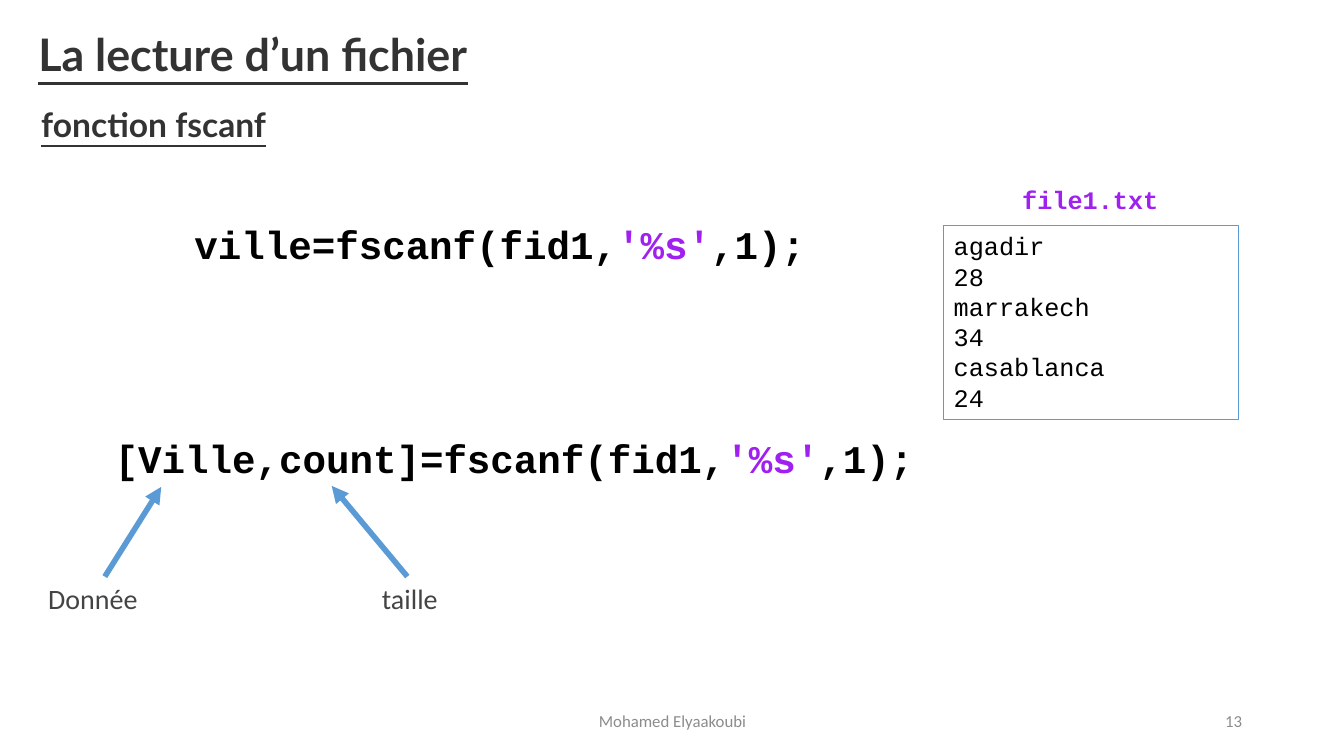
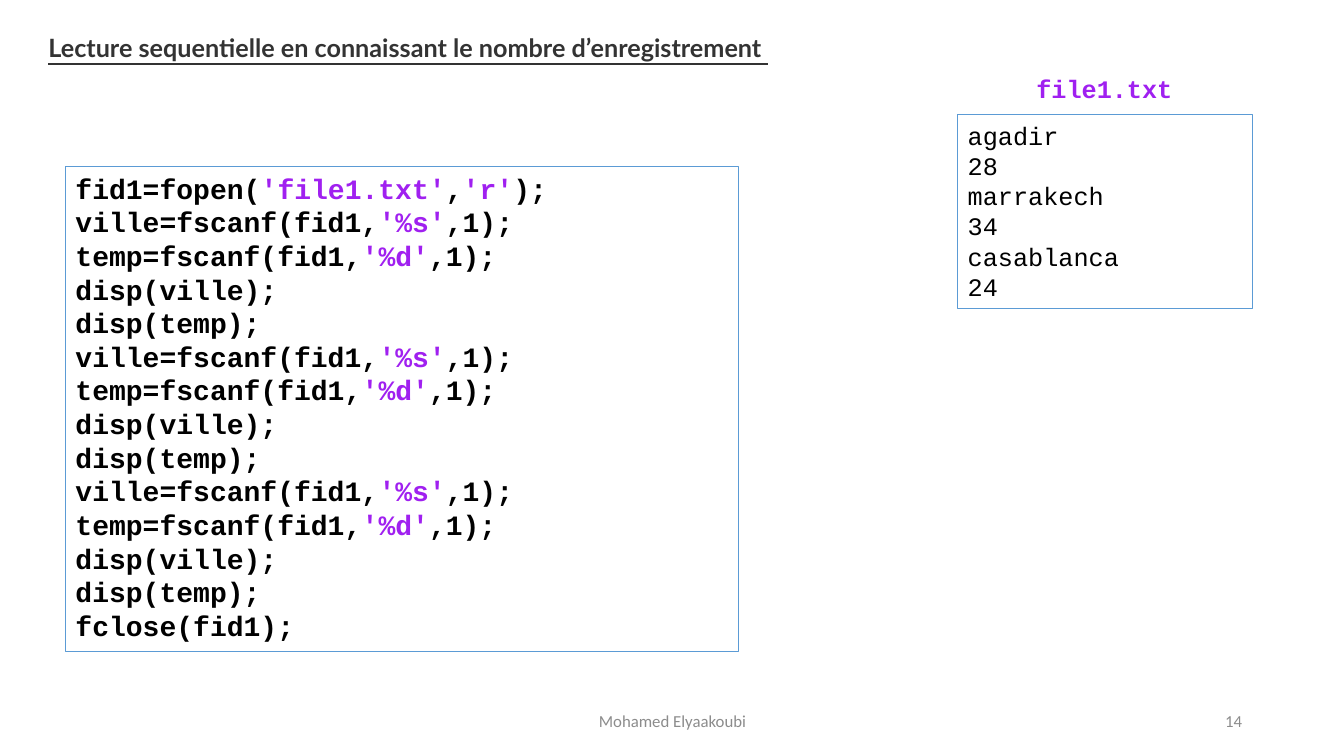
from dataclasses import dataclass

from lxml import etree
from pptx import Presentation
from pptx import util as u
from pptx.dml.color import RGBColor
from pptx.enum import shapes, text
from pptx.oxml.ns import qn

WIDTH, HEIGHT = u.Inches(13.333), u.Inches(7.5)
BLACK, PURPLE, BLUE = "000000", "A020F0", "5B9BD5"
ALIGN, ANCHOR = text.PP_ALIGN, text.MSO_ANCHOR
FILE_LINES = ["agadir", "28", "marrakech", "34", "casablanca", "24"]
READ_LINES = [
    "ville=fscanf(fid1,'%s',1);",
    "temp=fscanf(fid1,'%d',1);",
    "disp(ville);",
    "disp(temp);",
]


@dataclass(frozen=True)
class Style:
    size: int
    font: str
    color: str
    bold: bool = False
    underline: bool = False


LABEL = Style(20, "Calibri", "444444")
FOOTER = Style(12, "Calibri", "8C8C8C")
FILE_NAME = Style(18, "Courier New", PURPLE, bold=True)
FILE_TEXT = Style(18, "Courier New", BLACK)


def heading_style(size):
    return Style(size, "Lato", "333333", bold=True, underline=True)


def code_style(size):
    return Style(size, "Courier New", BLACK, bold=True)


def rgb(value):
    return RGBColor.from_string(value)


def share(left, top, width, height):
    return [round(WIDTH * left / 100), round(HEIGHT * top / 100),
            round(WIDTH * width / 100), round(HEIGHT * height / 100)]


def format_run(run, style, color=None):
    font = run.font
    font.size, font.name = u.Pt(style.size), style.font
    font.bold, font.underline = style.bold, style.underline
    font.color.rgb = rgb(color or style.color)


def write(shape, lines, style, align=ALIGN.LEFT, anchor=ANCHOR.TOP, wrap=False):
    frame = shape.text_frame
    frame.text = "\n".join(lines)
    frame.word_wrap = wrap
    frame.auto_size = text.MSO_AUTO_SIZE.NONE
    frame.vertical_anchor = anchor
    for paragraph in frame.paragraphs:
        paragraph.alignment = align
        for run in paragraph.runs:
            format_run(run, style)


def highlight_strings(shape, style):
    for paragraph in shape.text_frame.paragraphs:
        parts = paragraph.text.split("'")
        paragraph.text = parts[0]
        format_run(paragraph.runs[0], style)
        for index, part in enumerate(parts[1:], 1):
            quoted = index % 2 == 1
            run = paragraph.add_run()
            run.text = f"'{part}'" if quoted else part
            format_run(run, style, PURPLE if quoted else None)


def add_text(slide, area, line, style, **layout):
    box = slide.shapes.add_textbox(*share(*area))
    write(box, [line], style, **layout)
    return box


def add_code_line(slide, area, line):
    style = code_style(28)
    highlight_strings(add_text(slide, area, line, style), style)


def add_panel(slide, area, lines, style):
    panel = slide.shapes.add_shape(shapes.MSO_SHAPE.RECTANGLE, *share(*area))
    panel.shadow.inherit = False
    panel.fill.background()
    panel.line.color.rgb = rgb(BLUE)
    panel.line.width = u.Pt(0.75)
    write(panel, lines, style, wrap=True)
    return panel


def add_file_panel(slide, left, top):
    add_panel(slide, (left, top, 21.91, 25.6), FILE_LINES, FILE_TEXT)
    add_text(slide, (left + 5.1, top - 6.13, 11.7, 5.33), "file1.txt", FILE_NAME)


def add_arrow(slide, start, end):
    arrow = slide.shapes.add_connector(
        shapes.MSO_CONNECTOR.STRAIGHT, *share(*start, *end))
    arrow.line.color.rgb = rgb(BLUE)
    arrow.line.width = u.Pt(4)
    line = arrow.line._get_or_add_ln()
    etree.SubElement(line, qn("a:tailEnd"), type="triangle")
    etree.SubElement(arrow._element.spPr, qn("a:effectLst"))


def add_pointer(slide, label, left, start, tip):
    top = 76.27
    add_arrow(slide, (start, top), tip)
    add_text(slide, (left, top, 10.88, 5.87), label, LABEL, wrap=True)


def add_slide(presentation, title, area, size, number):
    slide = presentation.slides.add_slide(presentation.slide_layouts[5])
    heading = slide.shapes.title
    heading.left, heading.top, heading.width, heading.height = share(*area)
    write(heading, [title], heading_style(size))
    add_text(slide, (33.16, 92.67, 33.76, 5.33), "Mohamed Elyaakoubi", FOOTER,
             align=ALIGN.CENTER, anchor=ANCHOR.MIDDLE, wrap=True)
    add_text(slide, (70.67, 92.67, 22.5, 5.33), str(number), FOOTER,
             align=ALIGN.RIGHT, anchor=ANCHOR.MIDDLE, wrap=True)
    return slide


def build_fscanf_slide(presentation):
    slide = add_slide(presentation, "La lecture d’un fichier",
                      (2.1, 2.93, 33.91, 8.53), 32, 13)
    add_text(slide, (2.33, 13.07, 18.3, 6.67), "fonction fscanf", heading_style(24))
    add_code_line(slide, (13.73, 28.53, 47.34, 7.6), "ville=fscanf(fid1,'%s',1);")
    add_code_line(slide, (7.8, 56.8, 61.44, 7.6), "[Ville,count]=fscanf(fid1,'%s',1);")
    add_file_panel(slide, 70.22, 29.87)
    add_pointer(slide, "Donnée", 2.85, 7.8, (12, 64.4))
    add_pointer(slide, "taille", 27.68, 30.31, (24.68, 64.27))


def build_sequential_slide(presentation):
    slide = add_slide(
        presentation,
        "Lecture sequentielle en connaissant le nombre d’enregistrement ",
        (2.85, 3.6, 55.44, 5.33), 18, 14)
    program = ["fid1=fopen('file1.txt','r');", *READ_LINES * 3, "fclose(fid1);"]
    style = code_style(20)
    panel = add_panel(slide, (4.88, 22, 50.04, 64.13), program, style)
    highlight_strings(panel, style)
    add_file_panel(slide, 71.27, 15.2)


def main():
    presentation = Presentation()
    presentation.slide_width, presentation.slide_height = WIDTH, HEIGHT
    build_fscanf_slide(presentation)
    build_sequential_slide(presentation)
    presentation.save("out.pptx")


main()
